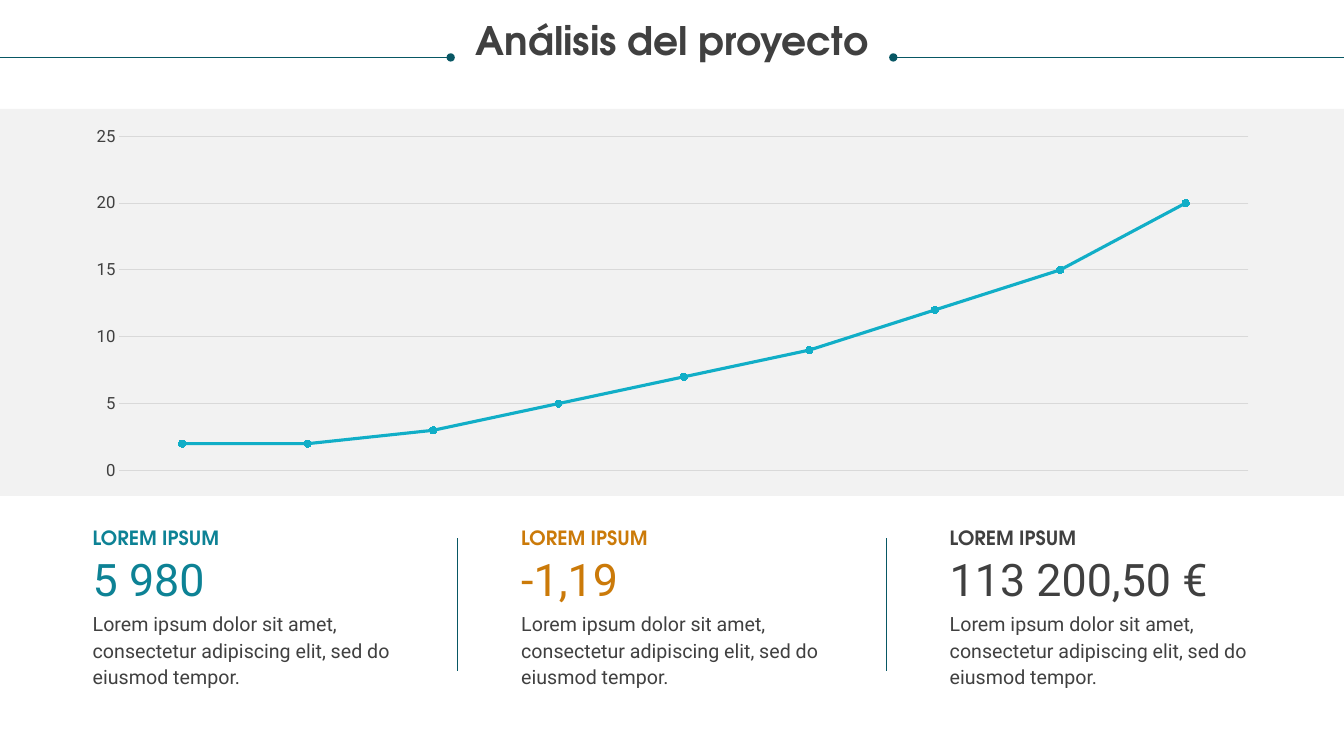
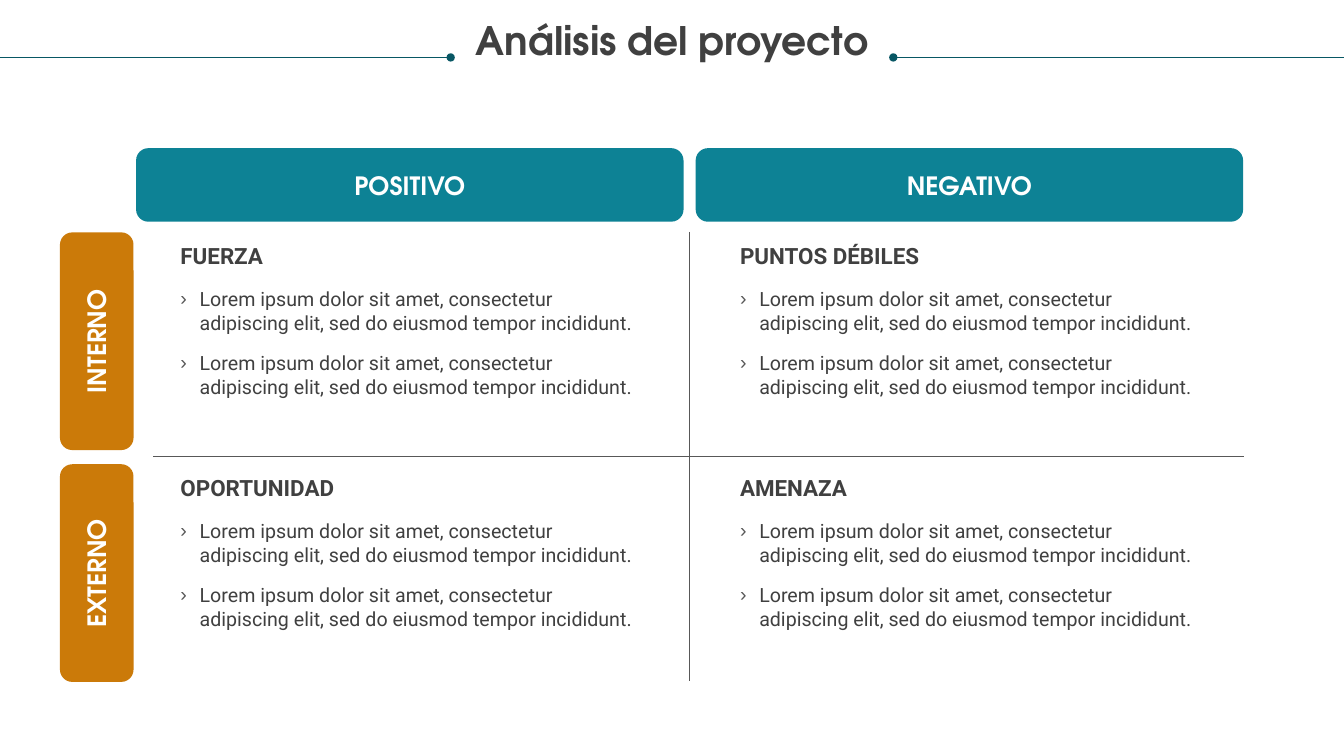
"""Build two project analysis slides: a trend with key figures and a SWOT grid."""
import dataclasses

import pptx
import pptx.chart.data
import pptx.dml.color
import pptx.enum.chart
import pptx.enum.shapes
import pptx.enum.text
import pptx.oxml.ns
import pptx.util
from lxml import etree

RGB = pptx.dml.color.RGBColor
WHITE = RGB(0xFF, 0xFF, 0xFF)
INK = RGB(0x40, 0x40, 0x40)
TEAL = RGB(0x0D, 0x82, 0x95)
DEEP_TEAL = RGB(0x08, 0x57, 0x64)
CYAN = RGB(0x11, 0xAE, 0xC7)
ORANGE = RGB(0xCB, 0x7A, 0x09)
RULE_GRAY = RGB(0x58, 0x58, 0x58)
GRID_GRAY = RGB(0xD9, 0xD9, 0xD9)
BAND_GRAY = RGB(0xF2, 0xF2, 0xF2)

HEADING_FONT = "TeX Gyre Adventor"
BODY_FONT = "Roboto"
WIDTH, HEIGHT = 13.33, 7.5
TITLE_ONLY, COMPARISON = 5, 4
TITLE = "Análisis del proyecto"
LOREM = "Lorem ipsum dolor sit amet, consectetur adipiscing elit, sed do eiusmod tempor"
GROWTH = (2, 2, 3, 5, 7, 9, 12, 15, 20)
FIGURES = (("5 980", TEAL), ("-1,19", ORANGE), ("113\u00a0200,50 €", INK))
POLES = ("POSITIVO", "NEGATIVO")
ORIGINS = ("INTERNO", "EXTERNO")
QUADRANTS = ("FUERZA", "PUNTOS DÉBILES", "OPORTUNIDAD", "AMENAZA")

ALIGN = pptx.enum.text.PP_ALIGN
ANCHOR = pptx.enum.text.MSO_ANCHOR
SHAPE = pptx.enum.shapes.MSO_SHAPE


@dataclasses.dataclass(frozen=True)
class Grid:
    """Origin and pitch, in inches, of equally spaced cells."""
    left: float
    top: float
    column: float
    row: float = 0

    def at(self, column, row=0, right=0, down=0):
        """Return the corner of a cell, moved by an offset."""
        return (self.left + column * self.column + right,
                self.top + row * self.row + down)


FIGURE_GRID = Grid(left=0.92, top=5.19, column=4.25)
SWOT_GRID = Grid(left=1.35, top=2.3, column=5.55, row=2.3)


def inches(*lengths):
    """Convert lengths to slide units."""
    return [pptx.util.Inches(length) for length in lengths]


def add_xml(parent, tag, **attributes):
    """Append a drawing element with the given attributes."""
    return etree.SubElement(parent, pptx.oxml.ns.qn(tag), attributes)


def add_bullet(paragraph, indent=0.19):
    """Give a paragraph a hanging angle mark."""
    properties = paragraph._p.get_or_add_pPr()
    hang = pptx.util.Inches(indent)
    properties.set("marL", str(hang))
    properties.set("indent", str(-hang))
    colour = add_xml(properties, "a:buClr")
    add_xml(colour, "a:srgbClr", val=str(RULE_GRAY))
    add_xml(properties, "a:buChar", char="›")


def write(frame, text, size=14, font=BODY_FONT, colour=INK, bold=False,
          align=ALIGN.LEFT, anchor=ANCHOR.TOP, margin=0, spacing=None,
          before=0, bulleted=False):
    """Fill a text frame, one paragraph a line, in one format."""
    frame.word_wrap = True
    frame.auto_size = pptx.enum.text.MSO_AUTO_SIZE.NONE
    frame.vertical_anchor = anchor
    frame.margin_left = frame.margin_right = pptx.util.Inches(margin)
    frame.margin_top = frame.margin_bottom = pptx.util.Inches(margin / 2)
    frame.text = text
    for paragraph in frame.paragraphs:
        paragraph.alignment = align
        paragraph.line_spacing = spacing
        paragraph.space_before = pptx.util.Pt(before)
        if bulleted:
            add_bullet(paragraph)
        for run in paragraph.runs:
            run.font.name = font
            run.font.size = pptx.util.Pt(size)
            run.font.bold = bold
            run.font.color.rgb = colour


def add_label(slide, corner, width, height, text, **style):
    """Add a text box at a corner."""
    box = slide.shapes.add_textbox(*inches(*corner, width, height))
    write(box.text_frame, text, **style)


def add_block(slide, corner, width, height, fill, kind=SHAPE.RECTANGLE):
    """Add a flat filled shape without outline."""
    block = slide.shapes.add_shape(kind, *inches(*corner, width, height))
    block.shadow.inherit = False
    block.fill.solid()
    block.fill.fore_color.rgb = fill
    block.line.fill.background()
    return block


def add_tab(slide, corner, width, height, text, fill, rotation=0):
    """Add a rounded heading tab."""
    tab = add_block(slide, corner, width, height, fill, SHAPE.ROUNDED_RECTANGLE)
    tab.rotation = rotation
    write(tab.text_frame, text, size=18, font=HEADING_FONT, colour=WHITE,
          bold=True, align=ALIGN.CENTER, anchor=ANCHOR.MIDDLE, margin=0.1)


def add_rule(slide, start, end, colour, dotted_end=False):
    """Add a thin line, with a dot at its end if asked."""
    rule = slide.shapes.add_connector(
        pptx.enum.shapes.MSO_CONNECTOR.STRAIGHT, *inches(*start, *end))
    rule.line.color.rgb = colour
    rule.line.width = pptx.util.Pt(0.5)
    if dotted_end:
        add_xml(rule.line._get_or_add_ln(), "a:tailEnd", type="oval")
    add_xml(rule._element.spPr, "a:effectLst")


def add_titled_slide(deck, layout):
    """Add a slide with the shared title between two dotted rules."""
    slide = deck.slides.add_slide(deck.slide_layouts[layout])
    place(slide.shapes.title, (0.25, 0.21), WIDTH - 0.5, 0.73)
    write(slide.shapes.title.text_frame, TITLE, size=28, font=HEADING_FONT,
          bold=True, align=ALIGN.CENTER, spacing=0.9)
    for edge, inner in ((0, 4.47), (WIDTH, WIDTH - 4.47)):
        add_rule(slide, (edge, 0.57), (inner, 0.57), DEEP_TEAL, dotted_end=True)
    return slide


def place(holder, corner, width, height):
    """Move and size a placeholder."""
    holder.left, holder.top, holder.width, holder.height = inches(
        *corner, width, height)


def add_growth_chart(slide):
    """Add the growth line chart."""
    data = pptx.chart.data.CategoryChartData()
    data.categories = [str(step + 1) for step in range(len(GROWTH))]
    data.add_series("Series 1", GROWTH)
    chart = slide.shapes.add_chart(
        pptx.enum.chart.XL_CHART_TYPE.LINE_MARKERS,
        *inches(0.72, 1.18, 11.9, 3.66), data).chart
    chart.has_legend = chart.has_title = False
    chart.font.name = BODY_FONT
    chart.font.size = pptx.util.Pt(10)
    chart.category_axis.visible = False

    scale = chart.value_axis
    scale.minimum_scale, scale.maximum_scale, scale.major_unit = 0, 25, 5
    scale.major_tick_mark = pptx.enum.chart.XL_TICK_MARK.NONE
    scale.format.line.fill.background()
    scale.tick_labels.font.name = BODY_FONT
    scale.tick_labels.font.size = pptx.util.Pt(12)
    scale.tick_labels.font.color.rgb = INK
    scale.major_gridlines.format.line.color.rgb = GRID_GRAY
    scale.major_gridlines.format.line.width = pptx.util.Pt(0.75)

    chart.plots[0].vary_by_categories = False
    growth = chart.plots[0].series[0]
    growth.smooth = False
    growth.format.line.color.rgb = CYAN
    growth.format.line.width = pptx.util.Pt(2.25)
    growth.marker.style = pptx.enum.chart.XL_MARKER_STYLE.CIRCLE
    growth.marker.size = 5
    growth.marker.format.fill.solid()
    growth.marker.format.fill.fore_color.rgb = CYAN
    growth.marker.format.line.color.rgb = CYAN


def add_figure(slide, column, value, colour):
    """Add one key figure with its heading and explanation."""
    leading = pptx.util.Pt(19)
    add_label(slide, FIGURE_GRID.at(column), 3, 0.27, "LOREM IPSUM",
              font=HEADING_FONT, colour=colour, bold=True, spacing=leading)
    add_label(slide, FIGURE_GRID.at(column, down=0.28), 3, 0.54, value,
              size=32, colour=colour)
    add_label(slide, FIGURE_GRID.at(column, down=0.85), 3, 0.8, LOREM + ".",
              spacing=leading)


def build_trend(deck):
    """Build the slide with the growth chart and key figures."""
    slide = add_titled_slide(deck, TITLE_ONLY)
    add_block(slide, (0, 1.08), WIDTH, 3.84, BAND_GRAY)
    add_growth_chart(slide)
    for column, (value, colour) in enumerate(FIGURES):
        add_figure(slide, column, value, colour)
        if column:
            add_rule(slide, FIGURE_GRID.at(column, right=-0.63, down=0.15),
                     FIGURE_GRID.at(column, right=-0.63, down=1.47), DEEP_TEAL)


def build_swot(deck):
    """Build the slide with the two by two SWOT grid."""
    slide = add_titled_slide(deck, COMPARISON)
    for column, pole in enumerate(POLES):
        add_tab(slide, SWOT_GRID.at(column, down=-0.83), 5.43, 0.73, pole, TEAL)
    for row, origin in enumerate(ORIGINS):
        add_tab(slide, SWOT_GRID.at(0, row, right=-1.47, down=0.72), 2.16, 0.73,
                origin, ORANGE, rotation=270)
    add_rule(slide, (1.52, 4.53), (12.34, 4.53), RULE_GRAY)
    add_rule(slide, (6.84, 2.3), (6.84, 6.76), RULE_GRAY)

    points = "\n".join([LOREM + " incididunt."] * 2)
    for index, heading in enumerate(QUADRANTS):
        row, column = divmod(index, len(POLES))
        add_label(slide, SWOT_GRID.at(column, row, right=0.44, down=0.1),
                  4.55, 0.27, heading, size=16, bold=True)
        body = slide.placeholders[index + 1]
        place(body, SWOT_GRID.at(column, row, right=0.44, down=0.55), 4.55, 1.11)
        write(body.text_frame, points, before=12, bulleted=True)


def main():
    """Build and save the deck."""
    deck = pptx.Presentation()
    deck.slide_width, deck.slide_height = inches(WIDTH, HEIGHT)
    build_trend(deck)
    build_swot(deck)
    deck.save("out.pptx")


main()
